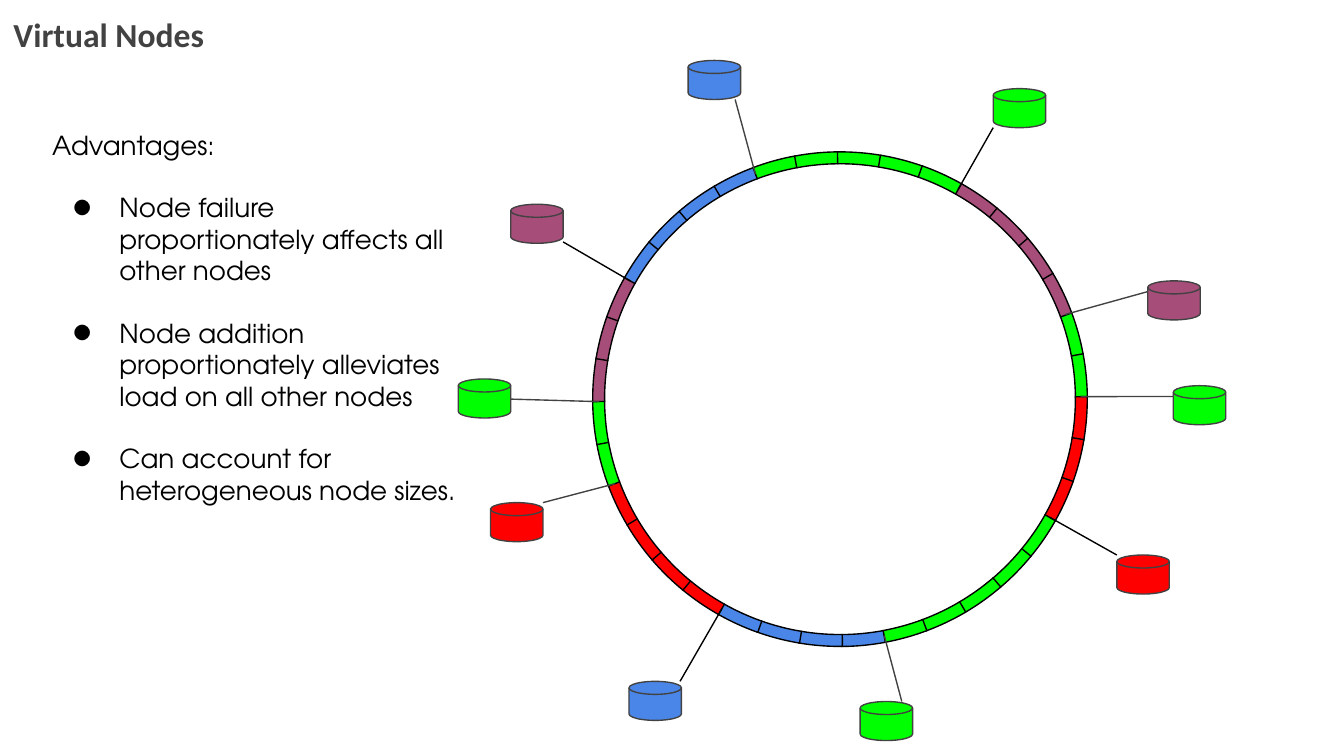
"""Build the Virtual Nodes slide: a hash ring of coloured arcs with its nodes."""
import math

import lxml.etree
import pptx
import pptx.dml.color
import pptx.enum.shapes
import pptx.enum.text
import pptx.oxml.ns
import pptx.util

Inches, Pt = pptx.util.Inches, pptx.util.Pt
Shape = pptx.enum.shapes.MSO_SHAPE
qn = pptx.oxml.ns.qn

TITLE = "Virtual Nodes"
LEAD = "Advantages:"
POINTS = [
    "Node failure proportionately affects all other nodes",
    "Node addition proportionately alleviates load on all other nodes",
    "Can account for heterogeneous node sizes.",
]
FACE = "TeX Gyre Adventor"
GREEN, RED, BLUE, PLUM = "00FF00", "FF0000", "4A86E8", "A64D79"
BLACK, GREY = "000000", "424242"
# colour, arcs in the run, disk corner, line end, line colour
RUNS = [
    (GREEN, 2, (8.73, 2.87), (8.73, 2.95), GREY),
    (RED, 3, (8.31, 4.13), (8.31, 4.13), BLACK),
    (GREEN, 5, (6.4, 5.22), (6.71, 5.22), GREY),
    (BLUE, 4, (4.68, 5.07), (5.06, 5.07), BLACK),
    (RED, 4, (3.65, 3.74), (4.04, 3.74), GREY),
    (GREEN, 2, (3.41, 2.82), (3.8, 2.97), GREY),
    (PLUM, 3, (3.8, 1.52), (4.19, 1.8), BLACK),
    (BLUE, 4, (5.12, 0.45), (5.47, 0.74), GREY),
    (GREEN, 5, (7.39, 0.66), (7.39, 0.95), BLACK),
    (PLUM, 4, (8.54, 2.09), (8.54, 2.17), GREY),
]
LEFT, TOP, SIZE = 4.41, 1.13, 3.68
REACH = 1.79
STEP, TURN, START = 10, 352.1, 339.4


def tint(hue):
    return pptx.dml.color.RGBColor.from_string(hue)


def style(runs, face, size, hue, bold=False):
    for run in runs:
        font = run.font
        font.name, font.size, font.bold = face, Pt(size), bold
        font.color.rgb = tint(hue)


def frame(box):
    text = box.text_frame
    text.word_wrap = True
    text.auto_size = pptx.enum.text.MSO_AUTO_SIZE.NONE
    text.vertical_anchor = pptx.enum.text.MSO_ANCHOR.TOP
    text.margin_left = text.margin_right = Inches(0.1)
    text.margin_top = text.margin_bottom = Inches(0.1)
    return text


def draw(slide, kind, at, fill, edge):
    shape = slide.shapes.add_shape(kind, *map(Inches, at))
    shape.shadow.inherit = False
    shape.fill.solid()
    shape.fill.fore_color.rgb = tint(fill)
    shape.line.color.rgb = tint(edge)
    shape.line.width = Pt(0.75)
    return shape


def link(slide, start, end, hue):
    kind = pptx.enum.shapes.MSO_CONNECTOR.STRAIGHT
    line = slide.shapes.add_connector(kind, *map(Inches, start + end))
    line.line.color.rgb = tint(hue)
    line.line.width = Pt(0.75)
    lxml.etree.SubElement(line._element.spPr, qn("a:effectLst"))


def bullet(para):
    props = para._p.get_or_add_pPr()
    props.set("marL", str(Inches(0.5)))
    props.set("indent", str(Inches(-0.35)))
    ink = lxml.etree.SubElement(props, qn("a:buClr"))
    lxml.etree.SubElement(ink, qn("a:srgbClr"), val=BLACK)
    lxml.etree.SubElement(props, qn("a:buFont"), typeface=FACE)
    lxml.etree.SubElement(props, qn("a:buChar"), char="●")


def ring(slide):
    count = 0
    for hue, arcs, _, _, _ in RUNS:
        for _ in range(arcs):
            arc = draw(slide, Shape.BLOCK_ARC, (LEFT, TOP, SIZE, SIZE), hue, BLACK)
            for i, value in enumerate((208.396, 214.482, 0.024)):
                arc.adjustments[i] = value
            arc.rotation = (TURN + STEP * count) % 360
            count += 1


def nodes(slide):
    count = 0
    for hue, arcs, spot, end, edge in RUNS:
        count += arcs
        angle = math.radians(START + STEP * count)
        start = (LEFT + SIZE / 2 + REACH * math.cos(angle),
                 TOP + SIZE / 2 + REACH * math.sin(angle))
        link(slide, start, end, edge)
        draw(slide, Shape.FLOWCHART_MAGNETIC_DISK, spot + (0.39, 0.29), hue, GREY)


def main():
    deck = pptx.Presentation()
    deck.slide_width = Inches(10)
    deck.slide_height = deck.slide_width * 9 // 16
    slide = deck.slides.add_slide(deck.slide_layouts[5])

    title = slide.shapes.title
    title.left, title.top = Inches(0), Inches(0)
    title.width, title.height = Inches(1.88), Inches(1.09)
    text = frame(title)
    text.text = TITLE
    head = text.paragraphs[0]
    head.alignment = pptx.enum.text.PP_ALIGN.LEFT
    style(head.runs, "Calibri", 18, GREY, True)

    ring(slide)
    nodes(slide)

    text = frame(slide.shapes.add_textbox(*map(Inches, (0.29, 0.86, 3.36, 4.64))))
    text.text = "\n".join([LEAD] + POINTS)
    for i, para in enumerate(text.paragraphs):
        if i:
            bullet(para)
            para.space_before = Pt(16.8)
        style(para.runs, FACE, 14, BLACK)

    deck.save("out.pptx")


if __name__ == "__main__":
    main()
